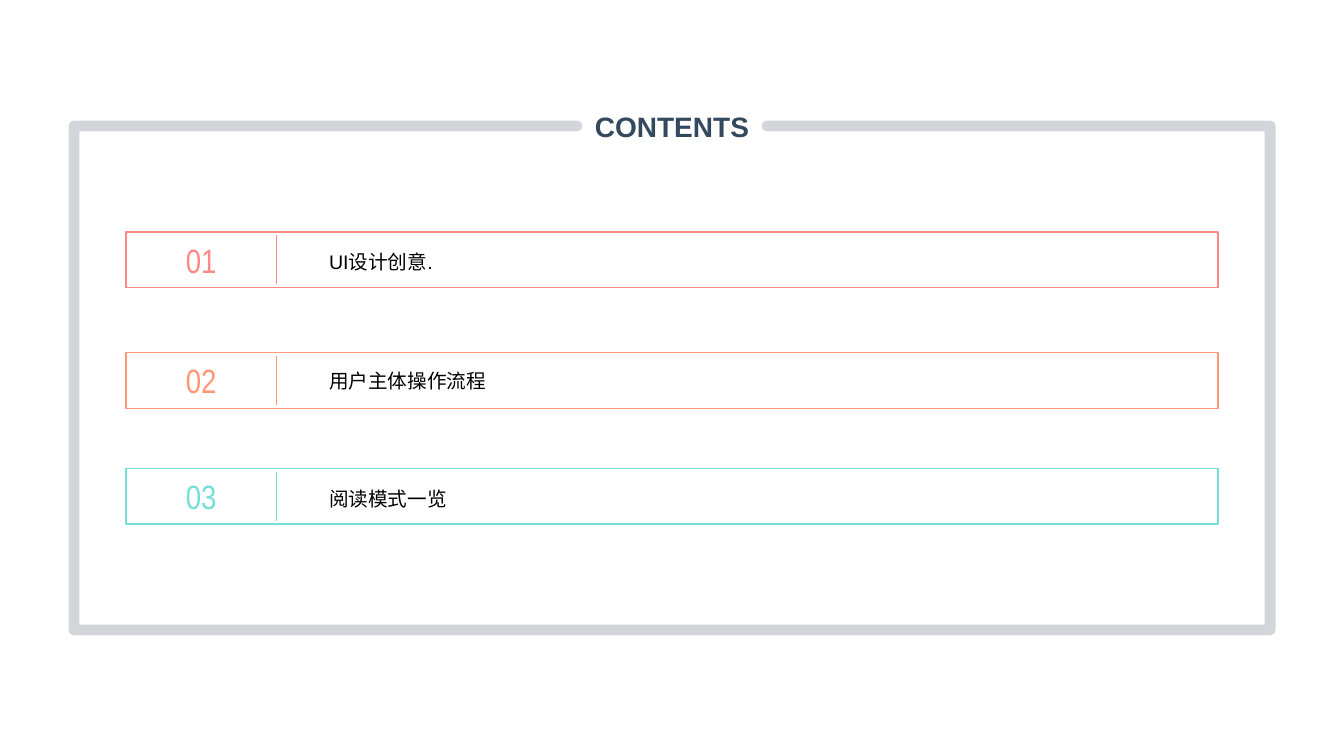
import pptx
import pptx.util
import pptx.dml.color
import pptx.enum.shapes
import pptx.enum.text
import pptx.oxml
import pptx.oxml.ns
import lxml.etree

RGBColor = pptx.dml.color.RGBColor
NAVY = RGBColor(0x34, 0x48, 0x5E)
PINK = RGBColor(0xFF, 0x89, 0x89)
CORAL = RGBColor(0xFF, 0x97, 0x74)
TEAL = RGBColor(0x73, 0xDF, 0xD6)
BLACK = RGBColor(0, 0, 0)

WIDE = pptx.util.Inches(13.333)
HIGH = pptx.util.Inches(7.5)
COLS, ROWS = 160, 90
LEFT = pptx.enum.text.PP_ALIGN.LEFT
MID = pptx.enum.text.PP_ALIGN.CENTER


def add_tag(parent, tag, **attrs):
    child = lxml.etree.SubElement(parent, pptx.oxml.ns.qn(tag))
    for name, value in attrs.items():
        child.set(name, value)
    return child


class Page:
    font = "Arial"
    thin = 1

    def __init__(self, slide):
        self.slide = slide
        self.shapes = slide.shapes

    def group(self):
        self.shapes = self.slide.shapes.add_group_shape().shapes

    def x(self, cols):
        return round(WIDE * cols / COLS)

    def y(self, rows):
        return round(HIGH * rows / ROWS)

    def area(self, left, top, width, height):
        return self.x(left), self.y(top), self.x(width), self.y(height)

    def stroke(self, shape, color, width):
        shape.line.color.rgb = color
        shape.line.width = pptx.util.Pt(width)

    def text(self, area, words, size, color, align=LEFT, font=None,
             bold=False, inset=True, space=None):
        frame = self.shapes.add_textbox(*self.area(*area)).text_frame
        frame.word_wrap = True
        frame.vertical_anchor = pptx.enum.text.MSO_ANCHOR.MIDDLE
        if not inset:
            frame.margin_left = frame.margin_right = 0
            frame.margin_top = frame.margin_bottom = 0
        para = frame.paragraphs[0]
        para.alignment = align
        para.line_spacing = space
        run = para.add_run()
        run.text = words
        run.font.name = font or self.font
        run.font.size = pptx.util.Pt(size)
        run.font.bold = bold
        run.font.color.rgb = color

    def box(self, area, color):
        kind = pptx.enum.shapes.MSO_SHAPE.RECTANGLE
        shape = self.shapes.add_shape(kind, *self.area(*area))
        shape.shadow.inherit = False
        shape.fill.background()
        self.stroke(shape, color, self.thin)

    def rule(self, col, top, end, color):
        kind = pptx.enum.shapes.MSO_CONNECTOR.STRAIGHT
        line = self.shapes.add_connector(
            kind, self.x(col), self.y(top), self.x(col), self.y(end))
        self.stroke(line, color, self.thin)
        add_tag(line._element.spPr, "a:effectLst")

    def frame(self, points, color, width, alpha):
        spots = [(self.x(col), self.y(row)) for col, row in points]
        pen = self.shapes.build_freeform(*spots[0])
        pen.add_line_segments(spots[1:], close=False)
        shape = pen.convert_to_shape()
        shape.shadow.inherit = False
        shape.fill.background()
        self.stroke(shape, color, width)
        edge = shape.line._get_or_add_ln()
        edge.set("cap", "rnd")
        tint = edge.find(".//" + pptx.oxml.ns.qn("a:srgbClr"))
        add_tag(tint, "a:alpha", val=str(alpha * 1000))
        add_tag(edge, "a:round")

    def entry(self, top, number, words, color, space):
        left, width, height = 15, 130, 6.6
        split, start, gap = 32.9, 38, 0.42
        self.group()
        self.box((left, top, width, height), color)
        self.text((left, top, split - left, height), number, 24, color,
                  MID, "Arial Narrow")
        self.rule(split, top + gap, top + height - gap, color)
        self.text((start, top, left + width - start, height), words, 14,
                  BLACK, space=space)


def main():
    deck = pptx.Presentation()
    deck.slide_width, deck.slide_height = WIDE, HIGH
    page = Page(deck.slides.add_slide(deck.slide_layouts[6]))
    page.text((69.7, 11, 20.6, 8), "CONTENTS", 20, NAVY, MID,
              bold=True, inset=False)
    left, right, top, base = 8.8, 151.2, 15, 75
    page.frame([(91.3, top), (right, top), (right, base), (left, base),
                (left, top), (68.7, top)], NAVY, 7.75, 21)
    entries = [
        (27.6, "UI设计创意.", PINK, 1.2),
        (42, "用户主体操作流程", CORAL, None),
        (55.8, "阅读模式一览", TEAL, 1.2),
    ]
    for count, (row, words, color, space) in enumerate(entries, 1):
        page.entry(row, f"{count:02}", words, color, space)
    deck.save("out.pptx")


if __name__ == "__main__":
    main()
